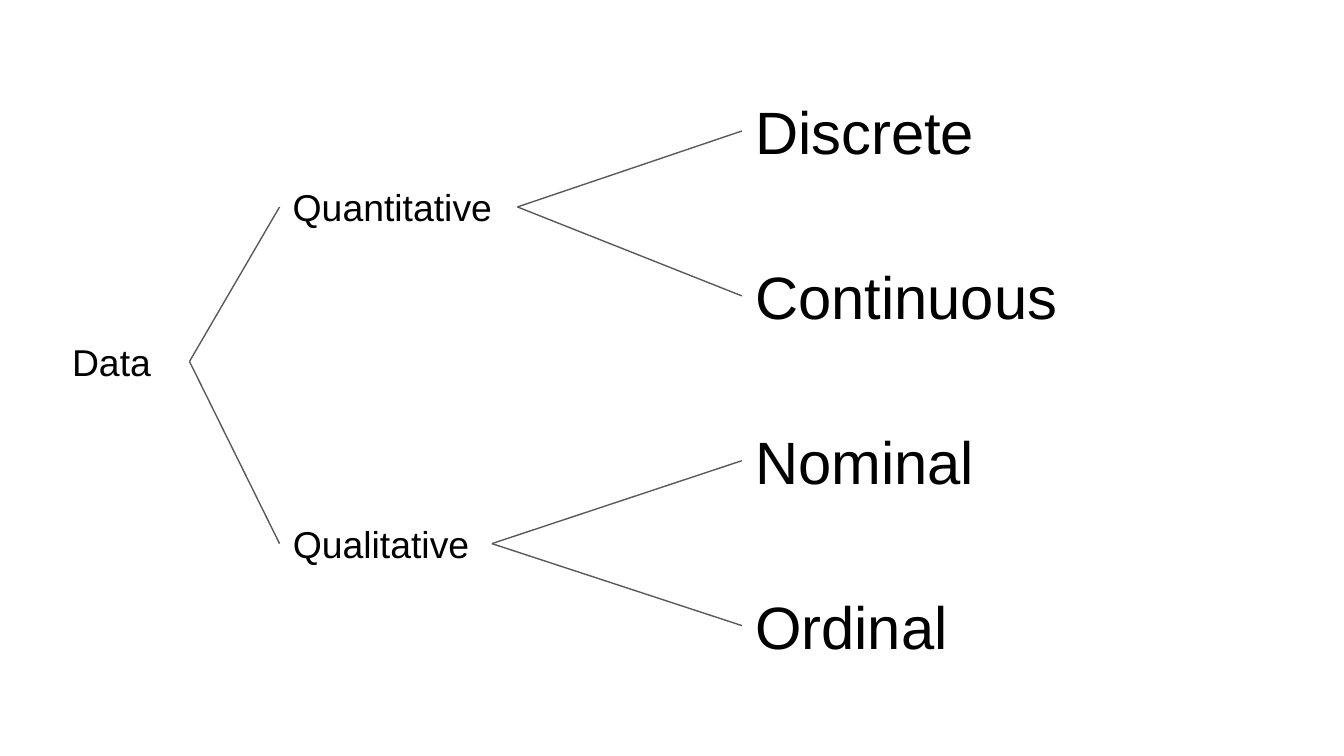
from pptx import Presentation
from pptx.dml.color import RGBColor
from pptx.enum.shapes import MSO_CONNECTOR
from pptx.enum.text import MSO_ANCHOR, PP_ALIGN
from pptx.oxml.xmlchemy import OxmlElement
from pptx.util import Inches, Pt

STRAIGHT = MSO_CONNECTOR.STRAIGHT
MIDDLE = MSO_ANCHOR.MIDDLE
LEFT, CENTER = PP_ALIGN.LEFT, PP_ALIGN.CENTER

INK, BRANCH = "000000", "595959"
SLIDE_WIDTH = 10
SLIDE_HEIGHT = SLIDE_WIDTH * 9 / 16
LEAF_LEFT, LEAF_TOP, LAST_LEAF_TOP = 5.52, 0.67, 4.35
LEAF_PITCH = (LAST_LEAF_TOP - LEAF_TOP) / 3
LEAF_WIDTH, LEAF_HEIGHT = 2.6, 0.61
ROOT = ("Data", (0.25, 2.42, 1.16, 0.54))
GROUPS = [
    ("Quantitative", (2.08, 1.27, 1.77, 0.54), ["Discrete", "Continuous"]),
    ("Qualitative", (2.08, 3.74, 1.58, 0.61), ["Nominal", "Ordinal"]),
]


def color(hex_string):
    """Turn a hex string into a colour."""
    return RGBColor.from_string(hex_string)


def add_label(slide, box, text, size=20, align=LEFT, ink=INK):
    """Place one vertically centred label in the given box."""
    label = slide.shapes.add_textbox(*map(Inches, box))
    frame = label.text_frame
    frame.word_wrap = True
    frame.vertical_anchor = MIDDLE
    frame.margin_left = frame.margin_right = Inches(0.1)
    frame.margin_top = frame.margin_bottom = Inches(0.1)
    paragraph = frame.paragraphs[0]
    paragraph.alignment = align
    run = paragraph.add_run()
    run.text = text
    run.font.name = "Arial"
    run.font.size = Pt(size)
    run.font.color.rgb = color(ink)
    return label


def add_branch(slide, parent, child):
    """Join the right middle of a parent label to the left middle of its child."""
    branch = slide.shapes.add_connector(
        STRAIGHT,
        parent.left + parent.width, parent.top + parent.height // 2,
        child.left, child.top + child.height // 2,
    )
    branch.line.color.rgb = color(BRANCH)
    branch.line.width = Pt(0.75)
    branch._element.spPr.append(OxmlElement("a:effectLst"))


def add_group(slide, box, name, leaves, leaf_box):
    """Place a data type with its evenly spaced subtypes and return its label."""
    group = add_label(slide, box, name)
    left, top, width, height = leaf_box
    for row, leaf_name in enumerate(leaves):
        leaf = add_label(slide, (left, top + row * LEAF_PITCH, width, height),
                         leaf_name, size=32)
        add_branch(slide, group, leaf)
    return group


def add_tree(slide):
    """Draw the whole tree of data types."""
    root_name, root_box = ROOT
    root = add_label(slide, root_box, root_name, align=CENTER)
    leaf_top = LEAF_TOP
    for name, box, leaves in GROUPS:
        leaf_box = (LEAF_LEFT, leaf_top, LEAF_WIDTH, LEAF_HEIGHT)
        group = add_group(slide, box, name, leaves, leaf_box)
        add_branch(slide, root, group)
        leaf_top += len(leaves) * LEAF_PITCH


def main():
    """Build and save the slide."""
    deck = Presentation()
    deck.slide_width = Inches(SLIDE_WIDTH)
    deck.slide_height = Inches(SLIDE_HEIGHT)
    add_tree(deck.slides.add_slide(deck.slide_layouts[6]))
    deck.save("out.pptx")


if __name__ == "__main__":
    main()
